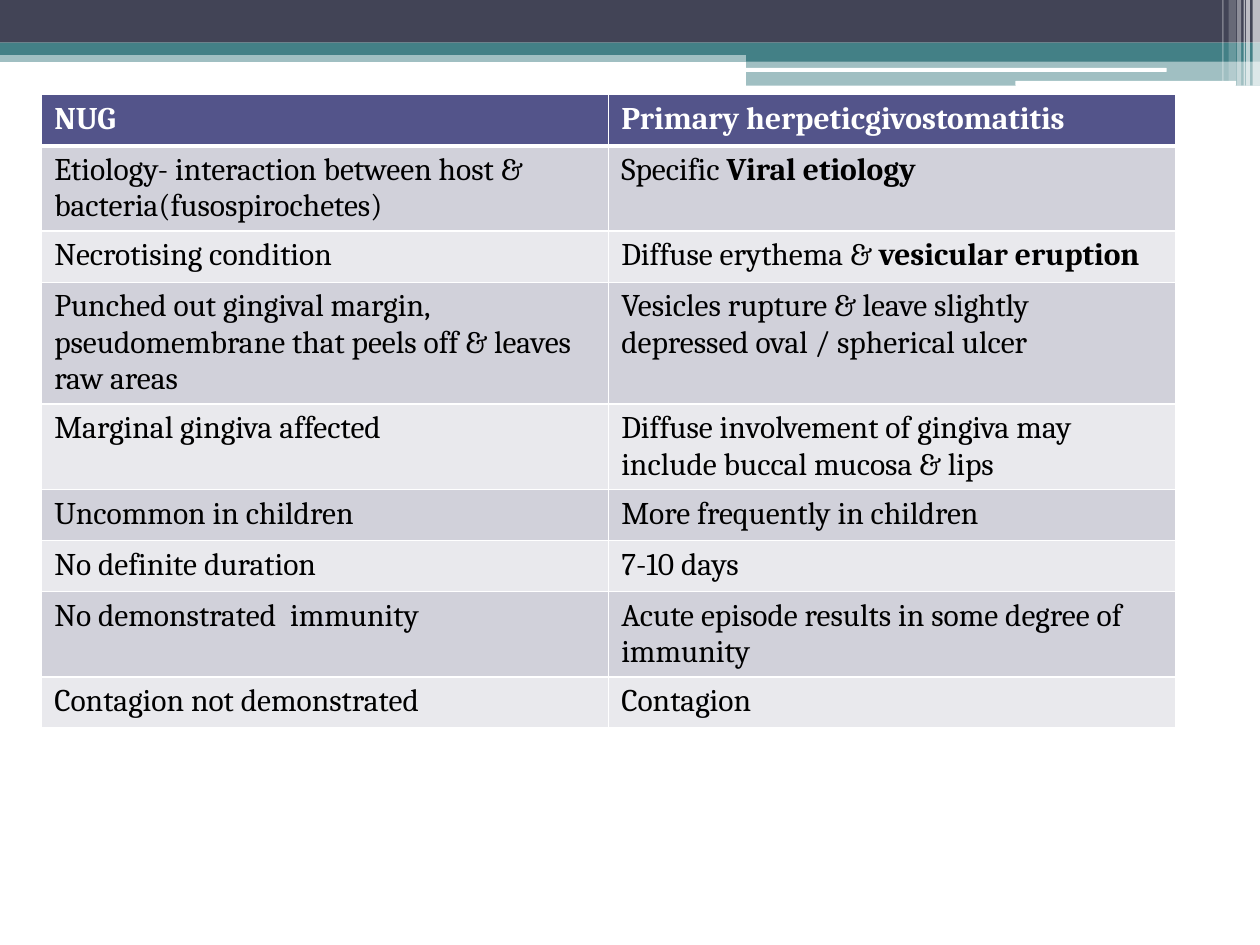
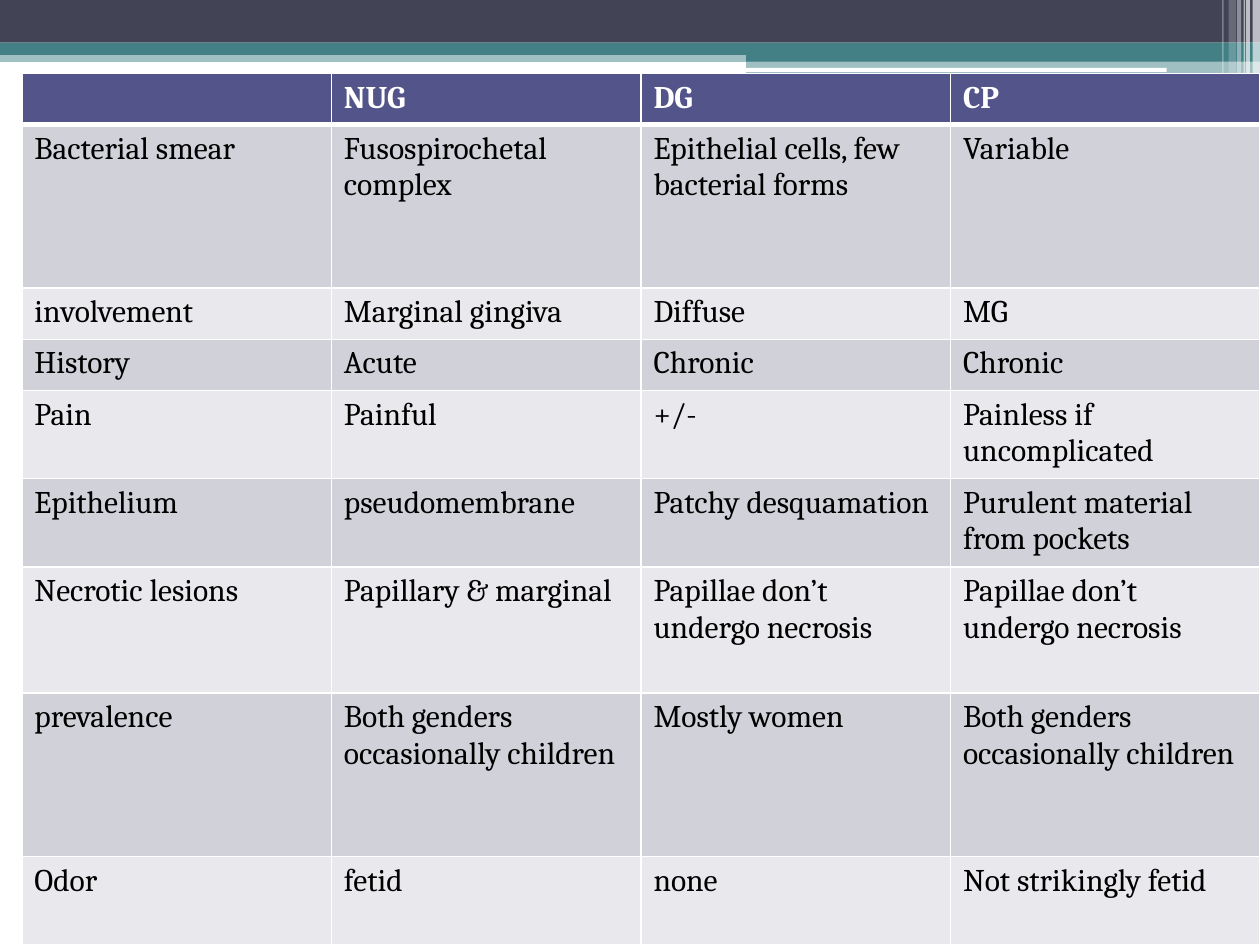
from lxml import etree
from pptx import Presentation
from pptx import util as u
from pptx.dml.color import RGBColor
from pptx.enum import shapes
from pptx.oxml import ns

# Colours and text format
WHITE = RGBColor(0xFF, 0xFF, 0xFF)
BLACK = RGBColor(0, 0, 0)
SLATE = RGBColor(0x42, 0x44, 0x56)
TEAL = RGBColor(0x43, 0x80, 0x86)
INDIGO = RGBColor(0x53, 0x54, 0x8A)
ROW_FILLS = (RGBColor(0xD1, 0xD1, 0xDA), RGBColor(0xE9, 0xE9, 0xED))
CELL_FONT = {"name": "Cambria", "size": u.Pt(18)}

# Header decoration, lengths in cm: left, top, width, height, colour, opacity %
SLIDE_W, SLIDE_H = 25.4, 19.05
BLOCK_LEFT, BLOCK_W = 15.04, 10.36
BANDS = [
    (0, 1.02, SLIDE_W, 0.23, TEAL, 50),
    (0, 0, SLIDE_W, 0.86, SLATE, 100),
    (0, 0.86, SLIDE_W, 0.25, TEAL, 100),
    (BLOCK_LEFT, 0.99, BLOCK_W, 0.25, TEAL, 100),
    (BLOCK_LEFT, 1.22, BLOCK_W, 0.51, TEAL, 50),
]
RULES = [(15.01, 1.37, 8.51, 0.08), (20.47, 1.63, 4.45, 0.1)]
# Vertical stripes: left, width, height, opacity %
STRIPES = [
    (25.25, 0.15, 1.73, 65), (25.12, 0.08, 1.73, 65), (25.07, 0.03, 1.73, 60),
    (24.94, 0.08, 1.73, 40), (24.77, 0.15, 1.63, 20), (24.64, 0.03, 1.63, 30),
]

# Tables: a cell is a string, or a pair of plain and bold text
LINE_H = 1.03
HERPETIC = {
    "at": (0.84, 1.91), "width": 22.86, "heights": [LINE_H] * 9,
    "rows": [
        ("NUG", "Primary herpeticgivostomatitis"),
        ("Etiology- interaction between host & bacteria(fusospirochetes)",
         ("Specific ", "Viral etiology")),
        ("Necrotising condition", ("Diffuse erythema & ", "vesicular eruption")),
        ("Punched out gingival margin, pseudomembrane that peels off & leaves raw areas",
         "Vesicles rupture & leave slightly depressed oval / spherical ulcer"),
        ("Marginal gingiva affected",
         "Diffuse involvement of gingiva may include buccal mucosa & lips"),
        ("Uncommon in children", "More frequently in children"),
        ("No definite duration", "7-10 days"),
        ("No demonstrated  immunity", "Acute episode results in some degree of immunity"),
        ("Contagion not demonstrated", "Contagion"),
    ],
}
GINGIVITIS = {
    "at": (0.44, 1.48), "width": 24.96,
    "heights": [LINE_H, 3.3, LINE_H, LINE_H, 1.78, 1.78, 2.54, 3.3, 1.78],
    "rows": [
        ("", "NUG", "DG", "CP"),
        ("Bacterial smear", "Fusospirochetal complex",
         "Epithelial cells, few bacterial forms", "Variable"),
        ("involvement", "Marginal gingiva", "Diffuse", "MG"),
        ("History", "Acute", "Chronic", "Chronic"),
        ("Pain", "Painful", "+/-", "Painless if uncomplicated"),
        ("Epithelium", "pseudomembrane", "Patchy desquamation",
         "Purulent material from pockets"),
        ("Necrotic lesions", "Papillary & marginal", "Papillae don’t undergo necrosis",
         "Papillae don’t undergo necrosis"),
        ("prevalence", "Both genders occasionally children", "Mostly women",
         "Both genders occasionally children"),
        ("Odor", "fetid", "none", "Not strikingly fetid"),
    ],
}


def add_block(s, box, color, opacity=100, kind=shapes.MSO_SHAPE.RECTANGLE):
    sp = s.shapes.add_shape(kind, *map(u.Cm, box))
    sp.shadow.inherit = False
    sp.line.fill.background()
    sp.fill.solid()
    sp.fill.fore_color.rgb = color
    if opacity < 100:
        clr = sp.element.spPr.find(".//" + ns.qn("a:srgbClr"))
        etree.SubElement(clr, ns.qn("a:alpha"), val=str(opacity * 1000))
    return sp


def add_header(s, master):
    """Draw the header and move it to the master, so every slide shows it."""
    parts = [add_block(s, box, color, opacity) for *box, color, opacity in BANDS]
    parts += [add_block(s, box, WHITE, kind=shapes.MSO_SHAPE.ROUNDED_RECTANGLE)
              for box in RULES]
    parts += [add_block(s, (left, 0, w, h), WHITE, opacity)
              for left, w, h, opacity in STRIPES]
    for number, sp in enumerate(parts, 101):
        sp.element.nvSpPr.cNvPr.set("id", str(number))
        sp.name = f"Header {number - 100}"
        master.shapes.element.append(sp.element)


def set_borders(cell, bottom):
    tcPr = cell._tc.get_or_add_tcPr()
    for side, width in (("L", 1), ("R", 1), ("T", 1), ("B", bottom)):
        ln = etree.SubElement(tcPr, ns.qn("a:ln" + side), w=str(u.Pt(width)))
        fill = etree.SubElement(ln, ns.qn("a:solidFill"))
        etree.SubElement(fill, ns.qn("a:srgbClr"), val=str(WHITE))


def fill_cell(cell, content, row):
    header = row == 0
    set_borders(cell, 3 if header else 1)
    cell.fill.solid()
    cell.fill.fore_color.rgb = INDIGO if header else ROW_FILLS[(row - 1) % 2]
    p = cell.text_frame.paragraphs[0]
    texts = (content,) if isinstance(content, str) else content
    for i, words in enumerate(texts):
        if not words:
            continue
        r = p.add_run()
        r.text = words
        for name, value in {**CELL_FONT, "bold": header or i == 1}.items():
            setattr(r.font, name, value)
        r.font.color.rgb = WHITE if header else BLACK


def add_comparison(s, spec_):
    rows, heights = spec_["rows"], spec_["heights"]
    n_cols = len(rows[0])
    box = (*spec_["at"], spec_["width"], sum(heights))
    table = s.shapes.add_table(len(rows), n_cols, *map(u.Cm, box)).table
    for col in table.columns:
        col.width = u.Cm(spec_["width"] / n_cols)
    for i, (contents, height) in enumerate(zip(rows, heights)):
        table.rows[i].height = u.Cm(height)
        for j, content in enumerate(contents):
            fill_cell(table.cell(i, j), content, i)


def main():
    prs = Presentation()
    prs.slide_width, prs.slide_height = u.Cm(SLIDE_W), u.Cm(SLIDE_H)
    blank = prs.slide_layouts[6]
    slides = [prs.slides.add_slide(blank) for _ in range(2)]
    add_header(slides[0], prs.slide_master)
    for s, comparison in zip(slides, (HERPETIC, GINGIVITIS)):
        add_comparison(s, comparison)
    prs.save("out.pptx")


if __name__ == "__main__":
    main()
